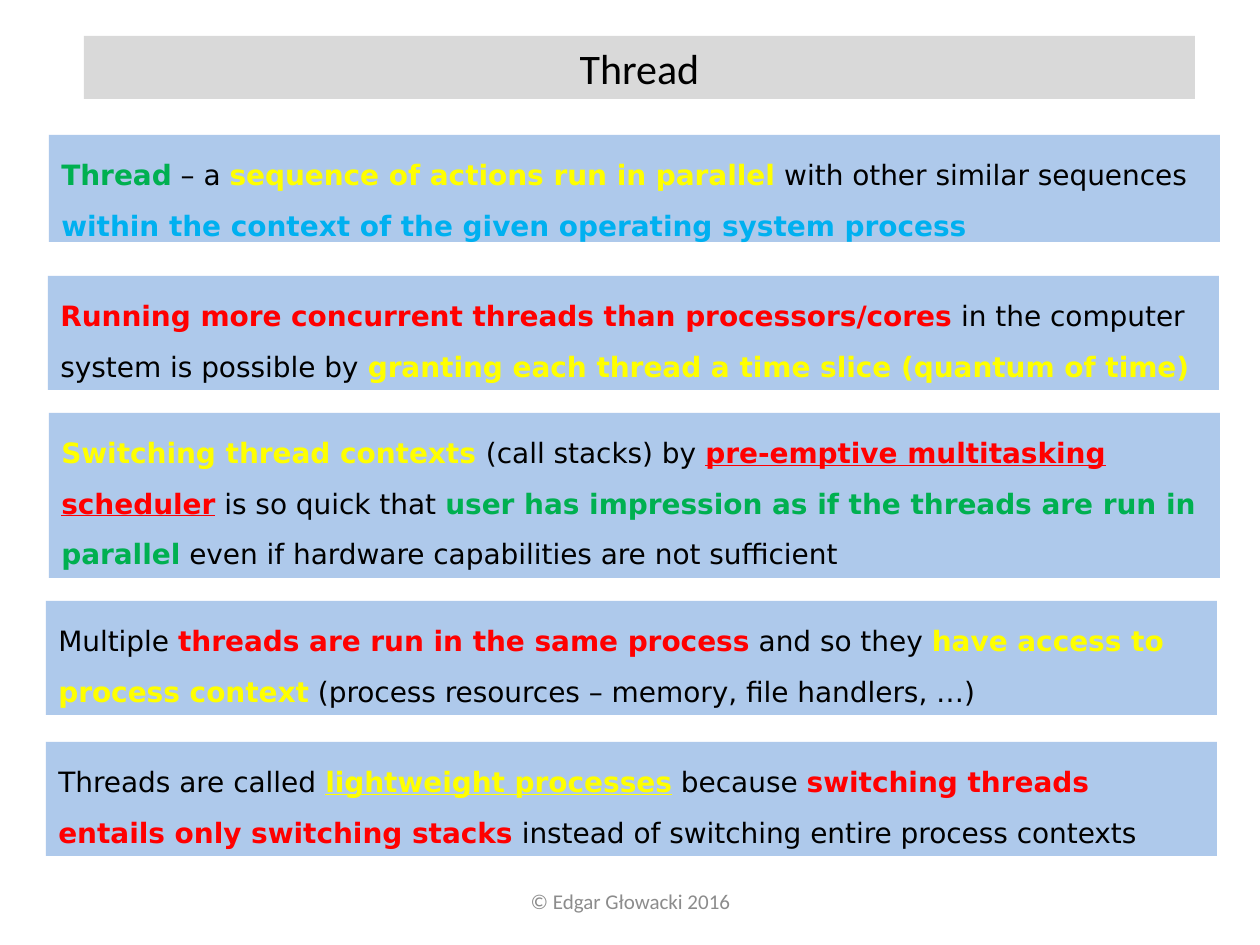
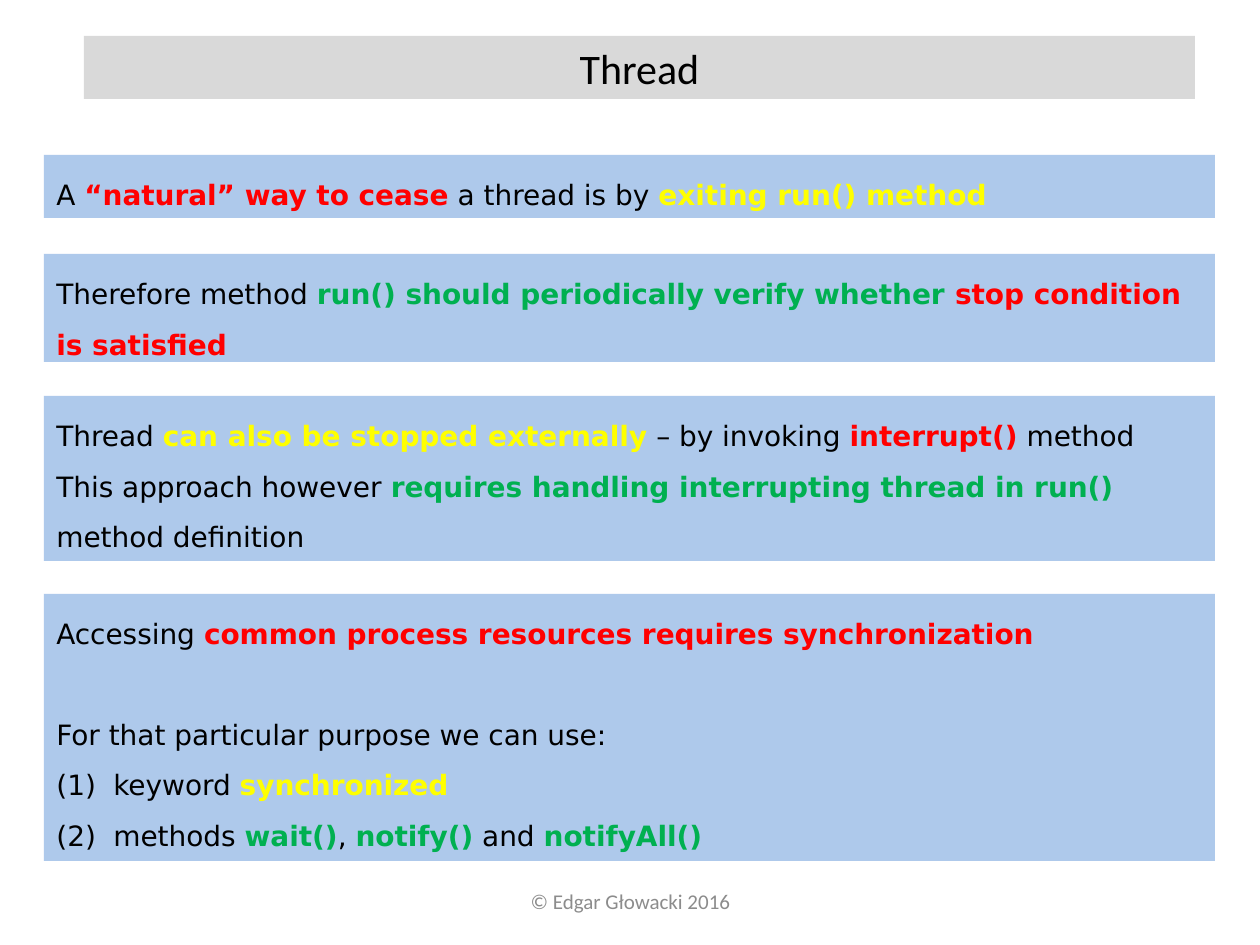
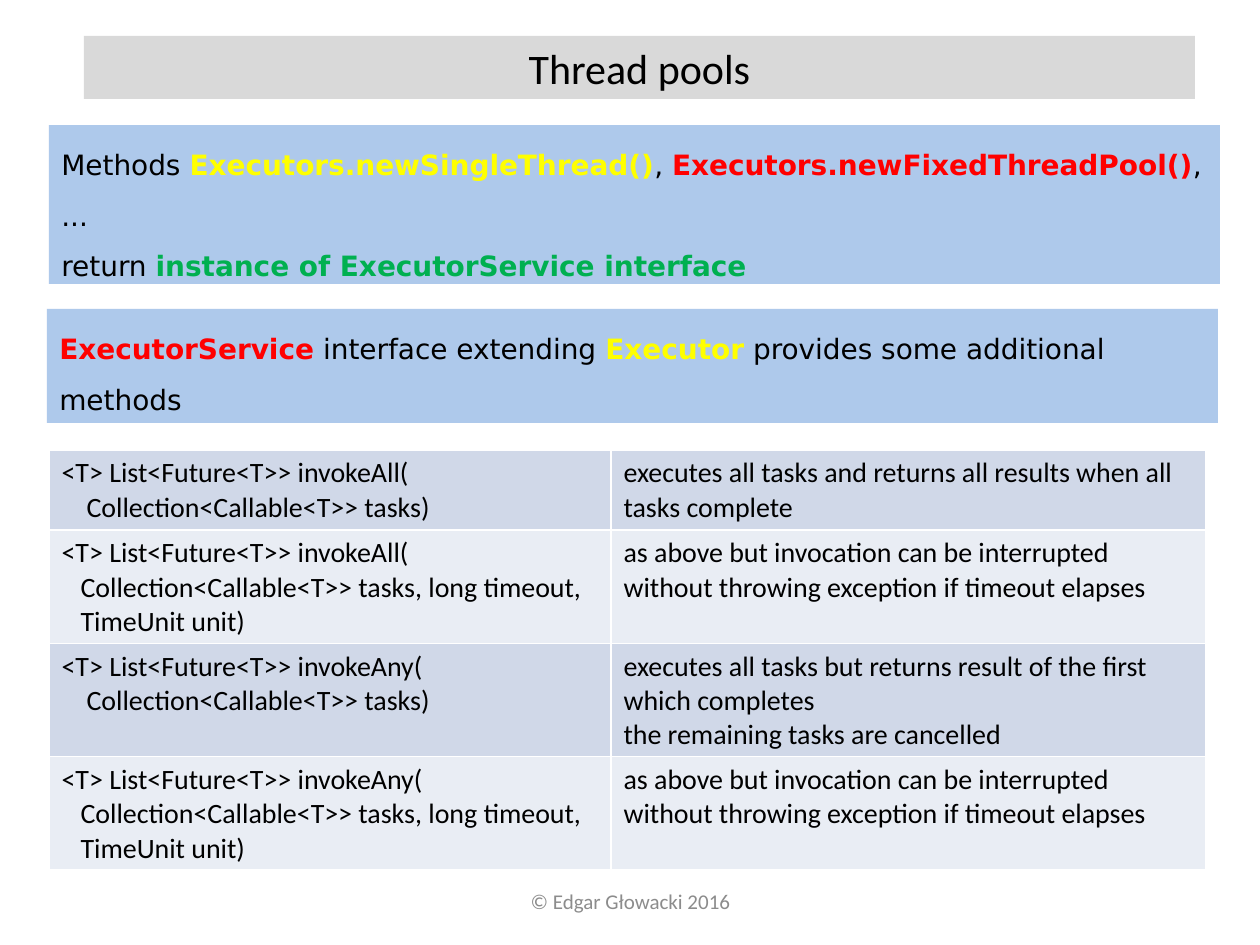
import pptx
import pptx.util
import pptx.oxml.ns
import pptx.dml.color
import pptx.enum.text
import pptx.enum.shapes
from lxml import etree

RGB = pptx.dml.color.RGBColor
ALIGN = pptx.enum.text.PP_ALIGN
ANCHOR = pptx.enum.text.MSO_ANCHOR
RECT = pptx.enum.shapes.MSO_SHAPE.RECTANGLE
qn = pptx.oxml.ns.qn

BLACK = RGB(0x00, 0x00, 0x00)
GREY = RGB(0x8C, 0x8C, 0x8C)
SILVER = RGB(0xD9, 0xD9, 0xD9)
BLUE = RGB(0x8E, 0xB4, 0xE3)
RED = RGB(0xFF, 0x00, 0x00)
GREEN = RGB(0x00, 0xB0, 0x50)
YELLOW = RGB(0xFF, 0xFF, 0x00)
CYAN = RGB(0x00, 0xB0, 0xF0)
BANDS = (RGB(0xD0, 0xD8, 0xE8), RGB(0xE9, 0xED, 0xF4))

SANS, WIDE = "Calibri", "DejaVu Sans"
FOOTER = "© Edgar Głowacki 2016"
BAR = 1171      # width of every blue bar
NUM = 57        # hanging indent of numbered lines
BREAK = 28.7    # points, one blank line
LINE, GAP, ITEM = "line", "gap", "item"

# Bars: left, top, height, lines. A line is its kind and its runs.
# A run is plain text, or (text, colour[, underlined]) for bold text.
DECK = [
    {"title": "Thread", "bars": [
        (49, 135, 107, [(LINE, [
            ("Thread", GREEN), " – a ",
            ("sequence of actions run in parallel", YELLOW),
            " with other similar sequences ",
            ("within the context of the given operating system process", CYAN)])]),
        (48, 276, 114, [(LINE, [
            ("Running more concurrent threads than processors/cores", RED),
            " in the computer system is possible by ",
            ("granting each thread a time slice (quantum of time)", YELLOW)])]),
        (49, 413, 165, [(LINE, [
            ("Switching thread contexts ", YELLOW), "(call stacks) by ",
            ("pre-emptive multitasking scheduler", RED, True),
            " is so quick that ",
            ("user has impression as if the threads are run in parallel", GREEN),
            " even if hardware capabilities are not sufficient"])]),
        (46, 601, 114, [(LINE, [
            "Multiple ", ("threads are run in the same process", RED),
            " and so they ", ("have access to process context", YELLOW),
            " (process resources – memory, file handlers, …)"])]),
        (46, 742, 114, [(LINE, [
            "Threads are called ", ("lightweight processes", YELLOW, True),
            " because ",
            ("switching threads entails only switching stacks", RED),
            " instead of switching entire process contexts"])]),
    ]},
    {"title": "Thread", "bars": [
        (44, 155, 63, [(LINE, [
            "A ", ("“natural” way to cease", RED), " a thread is by ",
            ("exiting run() method", YELLOW)])]),
        (44, 254, 108, [(LINE, [
            "Therefore method ",
            ("run() should periodically verify whether ", GREEN),
            ("stop condition is satisfied", RED)])]),
        (44, 396, 165, [
            (LINE, ["Thread ", ("can also be stopped externally", YELLOW),
                    " – by invoking ", ("interrupt()", RED), " method"]),
            (LINE, ["This approach however ",
                    ("requires handling interrupting thread in run() ", GREEN),
                    "method definition"])]),
        (44, 594, 267, [
            (LINE, ["Accessing ",
                    ("common process resources requires synchronization", RED)]),
            (GAP, ["For that particular purpose we can use:"]),
            (ITEM, ["keyword ", ("synchronized", YELLOW)]),
            (ITEM, ["methods ", ("wait()", GREEN), ", ", ("notify()", GREEN),
                    " and ", ("notifyAll()", GREEN)])]),
    ]},
    {"title": "Thread pools", "bars": [
        (49, 125, 159, [
            (LINE, ["Methods ", ("Executors.newSingleThread()", YELLOW), ", ",
                    ("Executors.newFixedThreadPool()", RED), ", ..."]),
            (LINE, ["return ",
                    ("instance of ExecutorService interface", GREEN)])]),
        (47, 309, 114, [(LINE, [
            ("ExecutorService", RED), " interface extending ",
            ("Executor", YELLOW), " provides some additional methods"])]),
    ], "table": True},
]

# Table of methods: name, arguments, their indent, what it does
SHORT = ["Collection<Callable<T>> tasks)"]
LONG = ["Collection<Callable<T>> tasks, long timeout,", "TimeUnit unit)"]
TIMED = ["as above but invocation can be interrupted without throwing "
         "exception if timeout elapses"]
CALLS = [
    ("invokeAll", SHORT, 25, ["executes all tasks and returns all results "
                              "when all tasks complete"]),
    ("invokeAll", LONG, 19, TIMED),
    ("invokeAny", SHORT, 25, ["executes all tasks but returns result of the "
                              "first which completes",
                              "the remaining tasks are cancelled"]),
    ("invokeAny", LONG, 19, TIMED),
]
GRID = (49, 450)
COLS = (562, 595)
ROWS = (80, 113, 113, 113)


def px(n):
    return pptx.util.Emu(round(n * 914400 / 126))


def add_run(para, text, font, size, color=BLACK, bold=False, under=False):
    run = para.add_run()
    run.text = text
    run.font.name, run.font.size = font, pptx.util.Pt(size)
    run.font.color.rgb = color
    run.font.bold, run.font.underline = bold, under


def next_para(frame, first):
    return frame.paragraphs[0] if first else frame.add_paragraph()


def indent(para, left, hang=0):
    props = para._p.get_or_add_pPr()
    props.set("marL", str(px(left)))
    props.set("indent", str(-px(hang)))
    return props


def add_box(slide, place, fill):
    box = slide.shapes.add_shape(RECT, *map(px, place))
    box.shadow.inherit = False
    box.fill.solid()
    box.fill.fore_color.rgb = fill
    box.line.fill.background()
    box.text_frame.word_wrap = True
    box.text_frame.vertical_anchor = ANCHOR.TOP
    return box


def add_frame(slide, title):
    """Title band and footer."""
    note = slide.shapes.add_textbox(*map(px, (431, 876, 399, 50))).text_frame
    note.word_wrap = True
    note.vertical_anchor = ANCHOR.MIDDLE
    band = add_box(slide, (84, 36, 1111, 63), SILVER).text_frame
    for frame, text, size, color in ((note, FOOTER, 12, GREY),
                                     (band, title, 24, BLACK)):
        para = frame.paragraphs[0]
        para.alignment = ALIGN.CENTER
        add_run(para, text, SANS, size, color)


def add_bar(slide, left, top, height, lines):
    bar = add_box(slide, (left, top, BAR, height), BLUE)
    tint = bar._element.spPr.find(".//" + qn("a:srgbClr"))
    etree.SubElement(tint, qn("a:alpha")).set("val", "71000")
    for i, (kind, runs) in enumerate(lines):
        para = next_para(bar.text_frame, i == 0)
        para.alignment = ALIGN.LEFT
        para.line_spacing = 1.5
        if kind == GAP:
            para.space_before = pptx.util.Pt(BREAK)
        if kind == ITEM:
            props = indent(para, NUM, NUM)
            mark = etree.SubElement(props, qn("a:buAutoNum"))
            mark.set("type", "arabicParenBoth")
        for part in runs:
            if isinstance(part, str):
                add_run(para, part, WIDE, 16)
            else:
                text, color, *under = part
                add_run(para, text, WIDE, 16, color, True, bool(under))


def add_edges(cell):
    props = cell._tc.get_or_add_tcPr()
    for side in ("lnL", "lnR", "lnT", "lnB"):
        edge = etree.SubElement(props, qn("a:" + side))
        edge.set("w", str(pptx.util.Pt(1)))
        fill = etree.SubElement(edge, qn("a:solidFill"))
        etree.SubElement(fill, qn("a:srgbClr")).set("val", "FFFFFF")


def add_calls(slide):
    place = (*GRID, sum(COLS), sum(ROWS))
    table = slide.shapes.add_table(len(ROWS), len(COLS), *map(px, place)).table
    table.first_row = table.horz_banding = False
    for col, width in zip(table.columns, COLS):
        col.width = px(width)
    for r, (name, args, left, does) in enumerate(CALLS):
        table.rows[r].height = px(ROWS[r])
        code = [f"<T> List<Future<T>> {name}("] + args
        for c, (lines, inset) in enumerate(((code, left), (does, 0))):
            cell = table.cell(r, c)
            add_edges(cell)
            cell.fill.solid()
            cell.fill.fore_color.rgb = BANDS[r % 2]
            for i, text in enumerate(lines):
                para = next_para(cell.text_frame, i == 0)
                if i and inset:
                    indent(para, inset)
                add_run(para, text, SANS, 16)


deck = pptx.Presentation()
deck.slide_width, deck.slide_height = px(1260), px(945)
for page in DECK:
    slide = deck.slides.add_slide(deck.slide_layouts[6])
    add_frame(slide, page["title"])
    for bar in page["bars"]:
        add_bar(slide, *bar)
    if page.get("table"):
        add_calls(slide)
deck.save("out.pptx")
